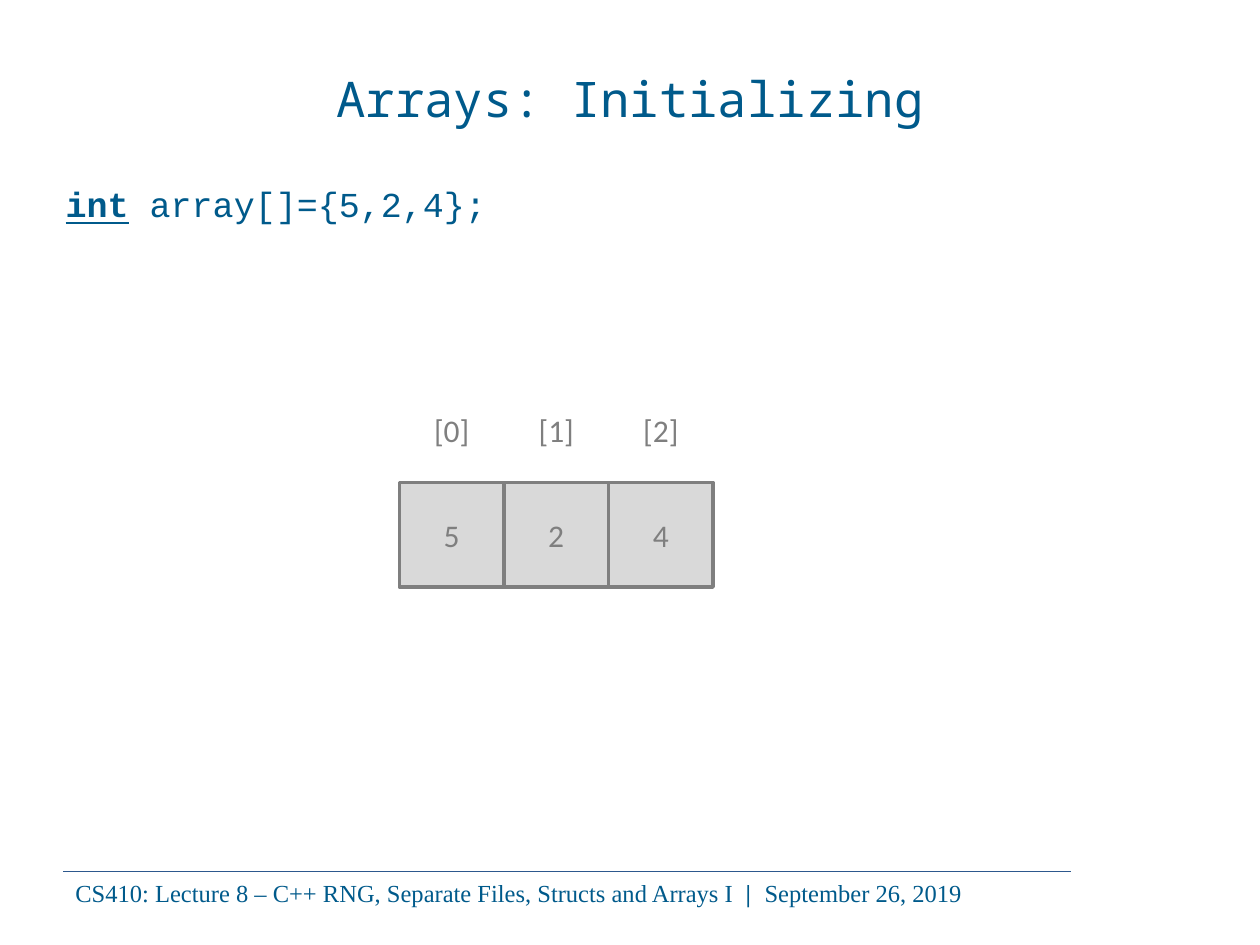
"""Build the slide that shows how a C++ array is initialized."""
from lxml import etree
from pptx import Presentation
from pptx.dml.color import RGBColor
from pptx.enum import shapes, text
from pptx.oxml.ns import qn
from pptx.util import Inches, Pt

BLUE = RGBColor(0x00, 0x5A, 0x8B)
RULE_BLUE = RGBColor(0x2D, 0x58, 0x8D)
GRAY = RGBColor(0x7F, 0x7F, 0x7F)
LIGHT_GRAY = RGBColor(0xD9, 0xD9, 0xD9)

TITLE = "Arrays: Initializing"
CODE = [("int", True), (" array[]={5,2,4};", False)]
VALUES = [5, 2, 4]
FOOTER = [
    ("CS410: Lecture 8 – C++ RNG, Separate Files, Structs and Arrays I\t", False),
    ("|\t", True),
    ("September 26, 2019", False),
]
FOOTER_TABS = [5.32, 5.47]
ARRAY_LEFT, INDEX_TOP, CELL = 3.17, 3, 0.83


def place(shape, left, top, width, height):
    shape.left, shape.top = Inches(left), Inches(top)
    shape.width, shape.height = Inches(width), Inches(height)


def style(paragraph, name, size, color):
    paragraph.font.name = name
    paragraph.font.size = Pt(size)
    paragraph.font.color.rgb = color


def add_runs(paragraph, runs, underline=False):
    for words, bold in runs:
        run = paragraph.add_run()
        run.text = words
        run.font.bold = bold
        if underline:
            run.font.underline = bold


def label(shape, words):
    frame = shape.text_frame
    frame.word_wrap = True
    frame.vertical_anchor = text.MSO_ANCHOR.MIDDLE
    paragraph = frame.paragraphs[0]
    paragraph.text = words
    paragraph.alignment = text.PP_ALIGN.CENTER
    style(paragraph, "Calibri", 18, GRAY)


def add_footer(slide):
    rule = slide.shapes.add_connector(
        shapes.MSO_CONNECTOR.STRAIGHT, Inches(0.5), Inches(6.92), Inches(8.5), Inches(6.92))
    rule.line.color.rgb = RULE_BLUE
    rule.line.width = Pt(0.5)
    etree.SubElement(rule._element.spPr, qn("a:effectLst"))

    box = slide.shapes.add_textbox(Inches(0.5), Inches(6.92), Inches(8.17), Inches(0.34))
    box.text_frame.word_wrap = True
    paragraph = box.text_frame.paragraphs[0]
    tabs = etree.SubElement(paragraph._p.get_or_add_pPr(), qn("a:tabLst"))
    for position in FOOTER_TABS:
        etree.SubElement(tabs, qn("a:tab"), pos=str(Inches(position)), algn="l")
    style(paragraph, "Times New Roman", 14, BLUE)
    add_runs(paragraph, FOOTER)


def add_title(slide):
    title = slide.shapes.title
    place(title, 0.5, 0.3, 9, 0.95)
    title.text_frame.auto_size = text.MSO_AUTO_SIZE.NONE
    title.text_frame.vertical_anchor = text.MSO_ANCHOR.MIDDLE
    paragraph = title.text_frame.paragraphs[0]
    paragraph.text = TITLE
    paragraph.alignment = text.PP_ALIGN.CENTER
    style(paragraph, "Noto Sans Mono", 28, BLUE)


def add_code(slide):
    body = slide.placeholders[1]
    place(body, 0.42, 1.33, 9.08, 5.38)
    body.text_frame.auto_size = text.MSO_AUTO_SIZE.NONE
    body.text_frame.margin_top = Inches(0.12)
    paragraph = body.text_frame.paragraphs[0]
    properties = paragraph._p.get_or_add_pPr()
    properties.set("marL", str(Inches(0.38)))
    properties.set("indent", str(Inches(-0.38)))
    etree.SubElement(properties, qn("a:buNone"))
    paragraph.space_before = Pt(0)
    style(paragraph, "Courier New", 20, BLUE)
    add_runs(paragraph, CODE, underline=True)


def add_array(slide):
    size = Inches(CELL)
    for index, value in enumerate(VALUES):
        left = Inches(ARRAY_LEFT + index * CELL)
        cell = slide.shapes.add_shape(
            shapes.MSO_SHAPE.RECTANGLE, left, Inches(INDEX_TOP + CELL), size, size)
        cell.shadow.inherit = False
        cell.fill.solid()
        cell.fill.fore_color.rgb = LIGHT_GRAY
        cell.line.color.rgb = GRAY
        cell.line.width = Pt(2)
        label(cell, str(value))
        label(slide.shapes.add_textbox(left, Inches(INDEX_TOP), size, size), f"[{index}]")


def main():
    presentation = Presentation()
    presentation.slide_width, presentation.slide_height = Inches(10), Inches(7.5)
    slide = presentation.slides.add_slide(presentation.slide_layouts[1])
    add_footer(slide)
    add_title(slide)
    add_code(slide)
    add_array(slide)
    presentation.save("out.pptx")


if __name__ == "__main__":
    main()
